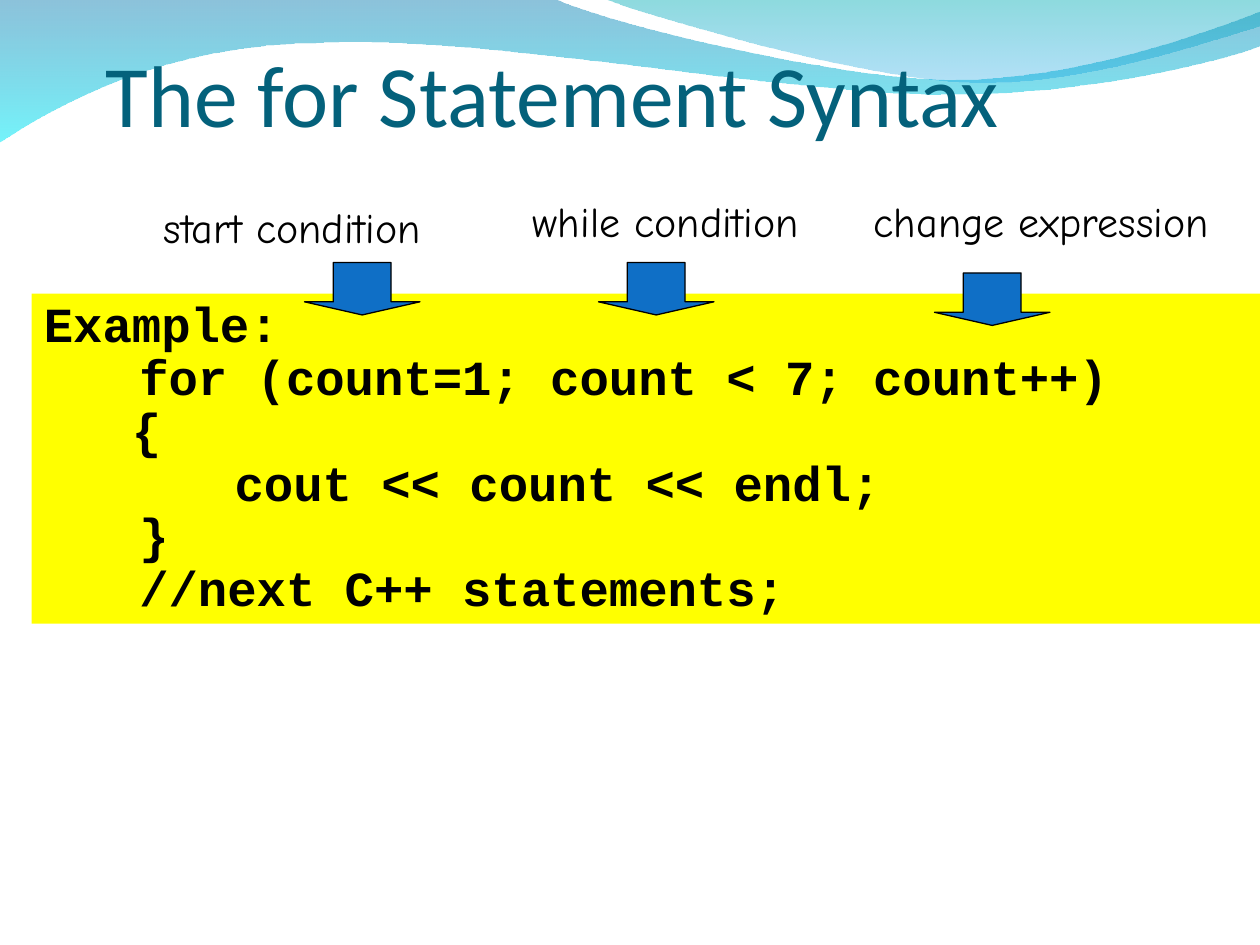
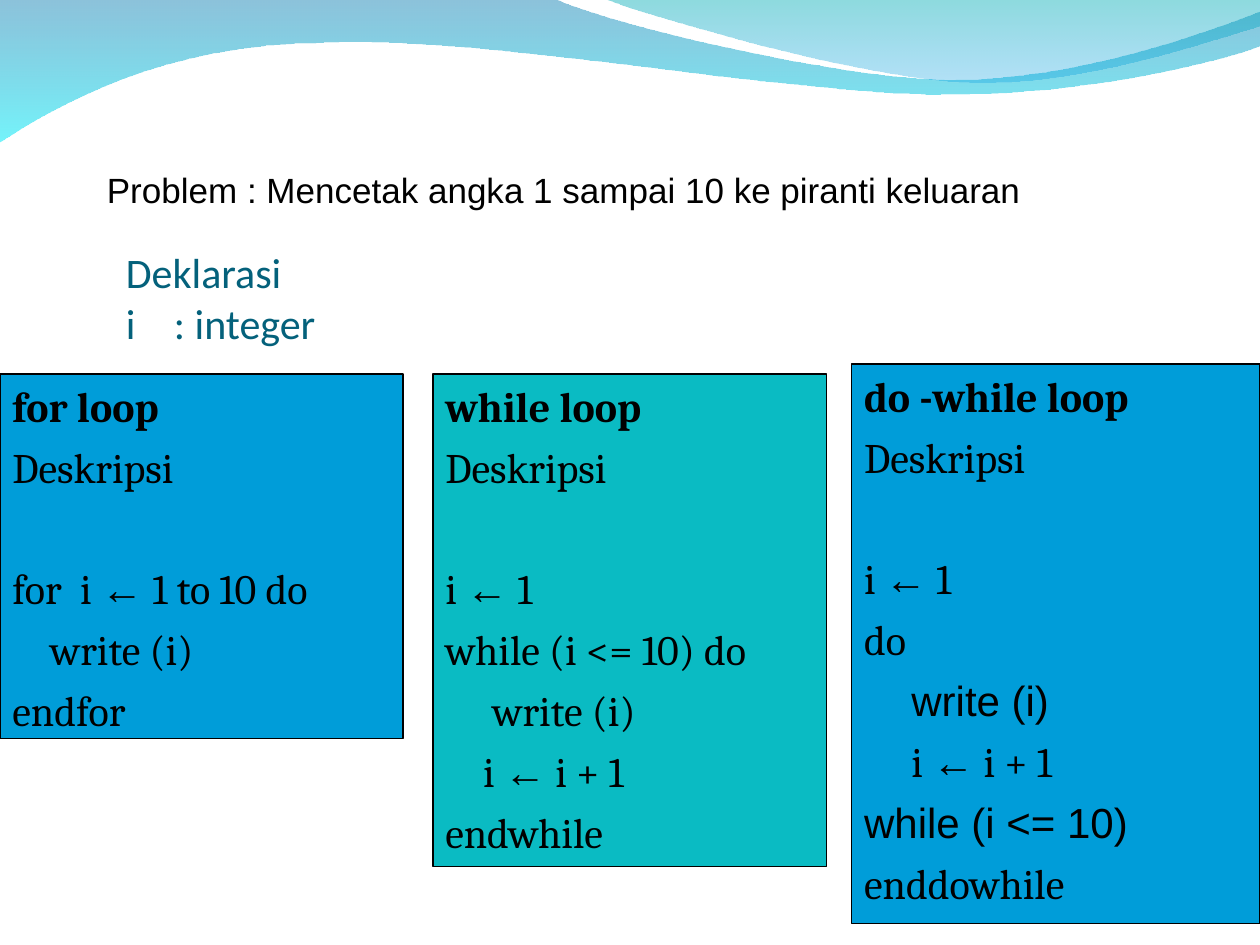
from dataclasses import dataclass

from lxml import etree
from pptx import Presentation
from pptx.dml.color import RGBColor
from pptx.enum.shapes import MSO_SHAPE
from pptx.enum.text import MSO_ANCHOR, PP_ALIGN
from pptx.oxml.ns import qn
from pptx.util import Pt

RECTANGLE, DOWN_ARROW = MSO_SHAPE.RECTANGLE, MSO_SHAPE.DOWN_ARROW
TOP, MIDDLE, BOTTOM = MSO_ANCHOR.TOP, MSO_ANCHOR.MIDDLE, MSO_ANCHOR.BOTTOM
LEFT = PP_ALIGN.LEFT

BLACK = RGBColor(0x00, 0x00, 0x00)
TITLE_TEAL = RGBColor(0x04, 0x61, 0x7B)
CODE_YELLOW = RGBColor(0xFF, 0xFF, 0x00)
ARROW_BLUE = RGBColor(0x0F, 0x6F, 0xC6)
LOOP_BLUE = RGBColor(0x00, 0x9D, 0xD9)
LOOP_TEAL = RGBColor(0x0A, 0xBB, 0xC3)

CODE_TAB = 54.5
LINE_GAP = 6
SECTION_GAP = 40.6


@dataclass(frozen=True)
class Box:
    left: float
    top: float
    width: float
    height: float

    def lengths(self) -> tuple:
        return Pt(self.left), Pt(self.top), Pt(self.width), Pt(self.height)


@dataclass(frozen=True)
class Style:
    font: str
    size: float
    color: RGBColor = BLACK
    bold: bool = False
    spacing: float = 1.0
    tabs: tuple = ()


@dataclass(frozen=True)
class Line:
    text: str
    indented: bool = False
    before: float = LINE_GAP
    font: str = "Cambria"
    bold: bool = False


@dataclass(frozen=True)
class Loop:
    box: Box
    color: RGBColor
    indent: float
    lines: tuple


@dataclass(frozen=True)
class Wave:
    """Segments hold one point for a straight line, three for a Bézier curve."""
    start: tuple
    segments: tuple
    stops: tuple  # (colour, opacity in percent)


WAVES = (
    Wave((0, -0.7), (
        ((316.8, -0.7),),
        ((342.7, 12.2), (478.1, 45.4), (545.8, 45.4)),
        ((614.2, 45.4), (689.8, 18.7), (720, 6.5)),
        ((720.7, 25.9),),
        ((707.8, 31.7), (626.4, 54.7), (537.1, 54)),
        ((447.8, 54), (275, 20.2), (185, 24.5)),
        ((92.9, 25.2), (33.1, 59.8), (-0.7, 81.4)),
    ), ((RGBColor(0x00, 0x79, 0xAF), 45), (RGBColor(0x00, 0xEB, 0xF8), 55))),
    Wave((344.9, -0.7), (
        ((366.5, 7.9), (491, 44.6), (553.7, 46.8)),
        ((616.3, 49.7), (691.9, 23), (720, 15.1)),
        ((720, 0),),
    ), ((RGBColor(0x00, 0xAD, 0xB6), 45), (RGBColor(0x00, 0x9B, 0xE5), 30))),
)

TITLE = Style("Calibri", 50, TITLE_TEAL)
DECLARATION = Style("Calibri", 24, TITLE_TEAL, tabs=(27.4,))
CODE = Style("Courier New", 28, bold=True, spacing=0.9,
             tabs=(CODE_TAB, 2 * CODE_TAB))
LABEL = Style("Comic Neue", 24)
PROBLEM = Style("Arial", 20)

CODE_PARAGRAPHS = (
    "Example:\n\tfor (count=1; count < 7; count++)",
    "   {\n\t\tcout << count << endl;\n\t}\n\t//next C++ statements;",
)
LABELS = (
    ("start condition", Box(86.4, 111.6, 162, 36)),
    ("change expression", Box(492.2, 108, 205.9, 36)),
    ("while condition", Box(297.4, 108, 166.3, 36)),
)
ARROWS = tuple(Box(left, top, 66, 30)
               for left, top in ((174, 150), (342, 150), (534, 156)))

LOOPS = (
    Loop(Box(0, 213.8, 230.4, 208.1), LOOP_BLUE, 21.6, (
        Line("for loop", before=0, bold=True),
        Line("Deskripsi"),
        Line("for  i ← 1 to 10 do", before=SECTION_GAP),
        Line("write (i)", indented=True),
        Line("endfor"),
    )),
    Loop(Box(247.4, 213.8, 225, 281.5), LOOP_TEAL, 21.6, (
        Line("while loop", before=0, bold=True),
        Line("Deskripsi"),
        Line("i ← 1", before=SECTION_GAP),
        Line("while (i <= 10) do"),
        Line(" write (i)", indented=True),
        Line("i ← i + 1", indented=True),
        Line("endwhile"),
    )),
    Loop(Box(486.7, 208.1, 233.3, 319.7), LOOP_BLUE, 27, (
        Line("do -while loop", before=0, bold=True),
        Line("Deskripsi"),
        Line("i ← 1", before=SECTION_GAP),
        Line("do"),
        Line("write (i)", indented=True, font="Arial"),
        Line("i ← i + 1", indented=True),
        Line("while (i <= 10)", font="Arial"),
        Line("enddowhile"),
    )),
)


def bend_segments(s, segments: tuple) -> None:
    """Turn each run of three straight segments of a curve into one Bézier."""
    lines = iter(list(s._element.spPr.iter(qn("a:lnTo"))))
    for segment in segments:
        first, *others = [next(lines) for _ in segment]
        if others:
            first.tag = qn("a:cubicBezTo")
        for line in others:
            first.append(line[0])
            line.getparent().remove(line)


def add_wave(slide, wave: Wave) -> None:
    points = [(Pt(x), Pt(y)) for segment in wave.segments for x, y in segment]
    builder = slide.shapes.build_freeform(*map(Pt, wave.start), scale=1.0)
    builder.add_line_segments(points, close=True)
    s = builder.convert_to_shape()
    bend_segments(s, wave.segments)
    s.shadow.inherit = False
    s.line.fill.background()
    s.fill.gradient()
    s.fill.gradient_angle = 270
    for stop, (color, _) in zip(s.fill.gradient_stops, wave.stops):
        stop.color.rgb = color
    colors = s._element.spPr.iter(qn("a:srgbClr"))
    for element, (_, opacity) in zip(list(colors), wave.stops):
        etree.SubElement(element, qn("a:alpha"), val=str(opacity * 1000))


def add_slide(prs):
    slide = prs.slides.add_slide(prs.slide_layouts[6])
    for wave in WAVES:
        add_wave(slide, wave)
    return slide


def add_preset(slide, preset, box: Box, color: RGBColor, outlined: bool = True):
    s = slide.shapes.add_shape(preset, *box.lengths())
    s.shadow.inherit = False
    s.fill.solid()
    s.fill.fore_color.rgb = color
    if outlined:
        s.line.color.rgb = BLACK
        s.line.width = Pt(0.75)
    else:
        s.line.fill.background()
    return s


def style_paragraph(p, style: Style) -> None:
    p.alignment = LEFT
    p.line_spacing = style.spacing
    if style.tabs:
        tab_list = etree.SubElement(p._p.get_or_add_pPr(), qn("a:tabLst"))
        for position in style.tabs:
            etree.SubElement(tab_list, qn("a:tab"), pos=str(Pt(position)), algn="l")
    p.font.name = style.font
    p.font.size = Pt(style.size)
    p.font.bold = style.bold
    p.font.color.rgb = style.color


def write(tf, texts: tuple, style: Style) -> None:
    for i, text in enumerate(texts):
        p = tf.add_paragraph() if i else tf.paragraphs[0]
        p.text = text
        style_paragraph(p, style)


def add_text(slide, box: Box, text: str, style: Style, anchor=TOP,
             wrap: bool = True):
    tf = slide.shapes.add_textbox(*box.lengths()).text_frame
    tf.word_wrap = wrap
    tf.vertical_anchor = anchor
    write(tf, (text,), style)
    return tf


def add_title(slide, box: Box, text: str, style: Style, anchor) -> None:
    tf = add_text(slide, box, text, style, anchor)
    tf.margin_left = tf.margin_right = tf.margin_bottom = 0


def add_loop(slide, loop: Loop) -> None:
    tf = add_preset(slide, RECTANGLE, loop.box, loop.color).text_frame
    tf.vertical_anchor = TOP
    for i, line in enumerate(loop.lines):
        p = tf.add_paragraph() if i else tf.paragraphs[0]
        for part in line.text.partition("←"):
            if part:
                r = p.add_run()
                r.text = part
                if part == "←":
                    r.font.name = "Arial"
        if line.indented:
            p._p.get_or_add_pPr().set("marL", str(Pt(loop.indent)))
        p.space_before = Pt(line.before)
        style_paragraph(p, Style(line.font, 24, bold=line.bold))


def build_syntax_slide(prs) -> None:
    slide = add_slide(prs)
    add_title(slide, Box(60.5, 23.8, 605.5, 54), "The for Statement Syntax",
              TITLE, MIDDLE)
    code = add_preset(slide, RECTANGLE, Box(18, 167.8, 702, 188.6),
                      CODE_YELLOW, outlined=False)
    code.text_frame.vertical_anchor = TOP
    write(code.text_frame, CODE_PARAGRAPHS, CODE)
    for text, box in LABELS:
        add_text(slide, box, text, LABEL, wrap=False)
    for box in ARROWS:
        s = add_preset(slide, DOWN_ARROW, box, ARROW_BLUE)
        s.adjustments[0], s.adjustments[1] = 0.5, 0.25


def build_loops_slide(prs) -> None:
    slide = add_slide(prs)
    add_title(slide, Box(72, 133.2, 249.1, 65.5), "Deklarasi\ni\t: integer",
              DECLARATION, BOTTOM)
    for loop in LOOPS:
        add_loop(slide, loop)
    add_text(slide, Box(54, 92.2, 556.6, 31.7),
             "Problem : Mencetak angka 1 sampai 10 ke piranti keluaran",
             PROBLEM, MIDDLE)


def main() -> None:
    prs = Presentation()
    prs.slide_width, prs.slide_height = Pt(720), Pt(540)
    build_syntax_slide(prs)
    build_loops_slide(prs)
    prs.save("out.pptx")


if __name__ == "__main__":
    main()
